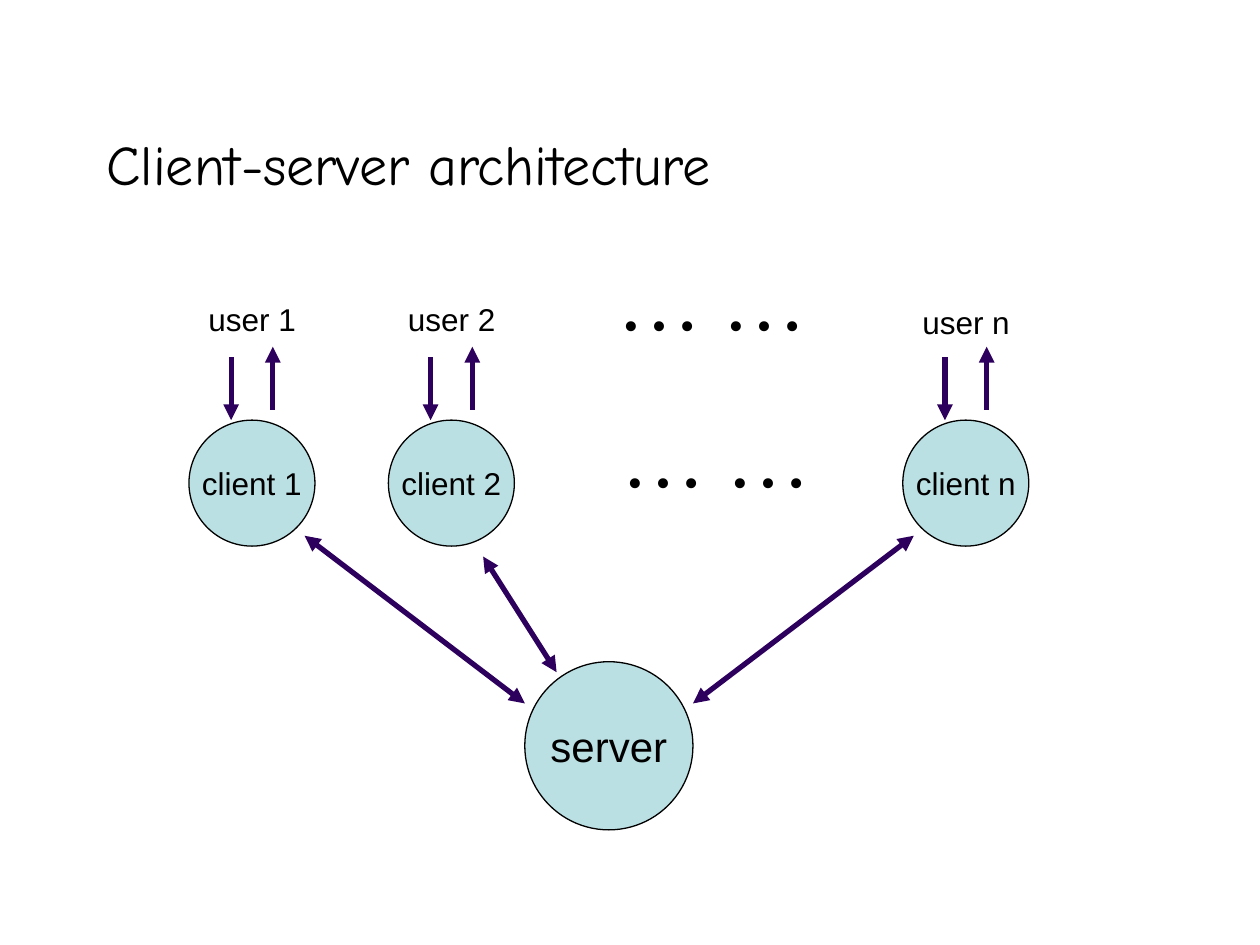
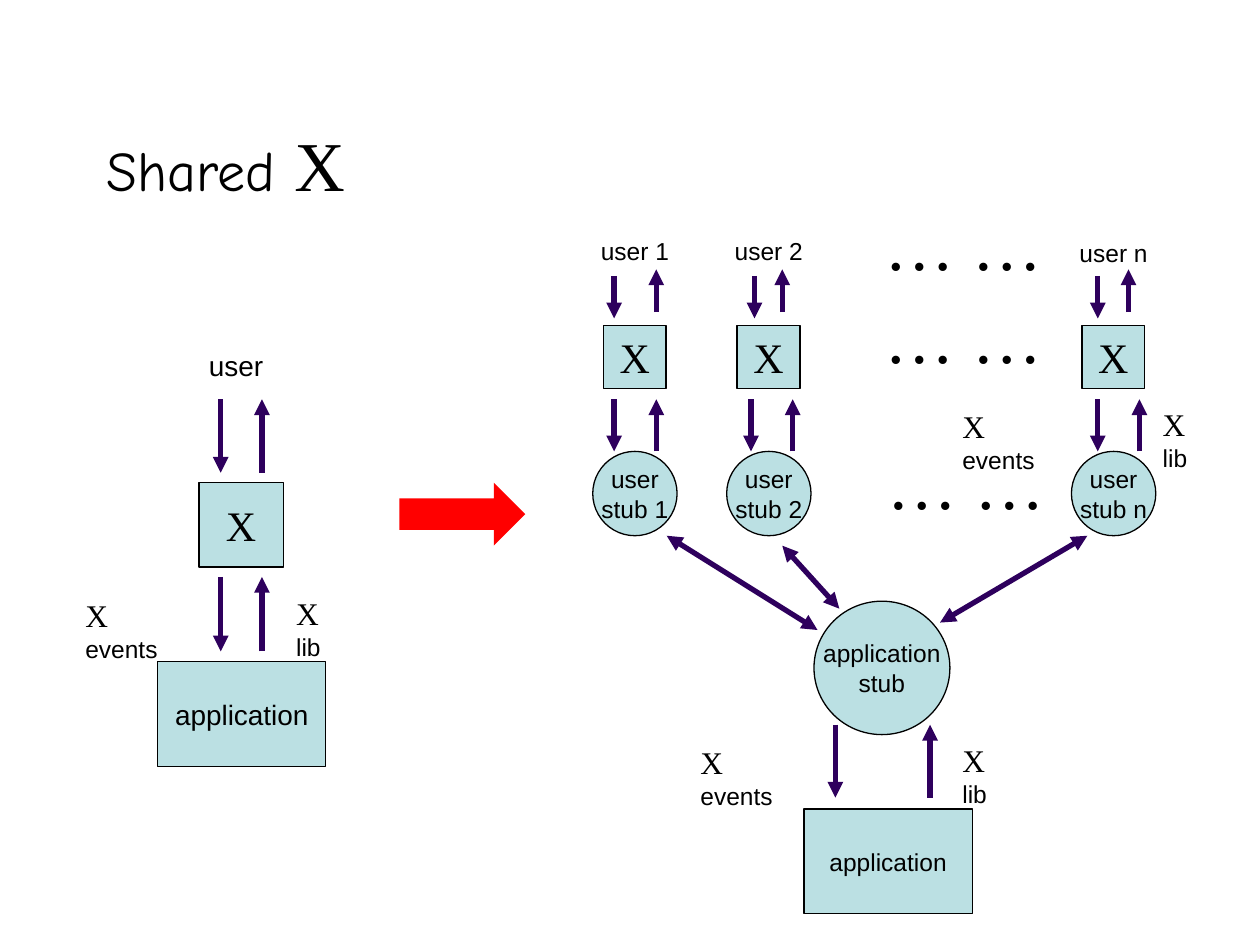
"""Two slides on client-server sharing, drawn as node and arrow diagrams."""
import pptx
import pptx.dml.color
import pptx.enum.shapes
import pptx.enum.text
import pptx.util
import lxml.etree

Cm, Pt = pptx.util.Cm, pptx.util.Pt
KIND = pptx.enum.shapes.MSO_SHAPE
TEXT = pptx.enum.text
INK, NODE, LINK, RED = "000000", "BBE0E3", "2E005D", "FF0000"
SANS, SERIF, COMIC = "Arial", "Times New Roman", "Comic Neue"
DOTS = "… …"

HEADS = [
    [("Client-server architecture", 32, COMIC)],
    [("Shared ", 32, COMIC), ("X", 40, SERIF)],
]

CLIENTS = [
    ("1", 5.08, 5.93),
    ("2", 9.1, 5.93),
    ("n", 19.47, 5.98),
]
SPOKES = [
    (13.97, 14.18, 18.42, 10.8),
    (10.58, 14.18, 6.14, 10.8),
    (11.22, 13.55, 9.74, 11.22),
]
GAPS = [(12.28, 8.89), (12.19, 5.72)]

STUBS = [
    ("1", 12.8, 4.64, (12.38, 13.23), (12.38, 13.23)),
    ("2", 15.5, 4.64, (15.21, 15.77), (15.14, 15.98)),
    ("n", 22.45, 4.68, (22.13, 22.75), (22.13, 22.97)),
]
STUB_SPOKES = [
    (18.95, 12.55, 21.92, 10.8),
    (16.48, 12.7, 13.44, 10.8),
    (16.92, 12.27, 15.77, 11),
]
STUB_GAPS = [(17.63, 9.47), (17.58, 6.53), (17.58, 4.65)]
CALLS = [
    ("events", 19.15, 8.08),
    ("lib", 23.19, 8.05),
    ("events", 13.87, 14.86),
    ("lib", 19.15, 14.81),
    ("events", 1.47, 11.89),
    ("lib", 5.72, 11.86),
]
CALL_WIDTH = {"events": 2.54, "lib": 1.57}
APPS = [(16.21, 16.31, 14), (3.18, 13.34, 16)]
APP_LINKS = [
    (16.84, 18.75, 14.61, 16.08),
    (4.45, 5.28, 11.63, 13.13),
    (4.45, 5.28, 8.05, 9.53),
]


def color(code):
    return pptx.dml.color.RGBColor.from_string(code)


def write(frame, lines, center=True, space=None):
    for row, runs in enumerate(lines):
        para = frame.paragraphs[0] if row == 0 else frame.add_paragraph()
        para.alignment = TEXT.PP_ALIGN.CENTER if center else TEXT.PP_ALIGN.LEFT
        if space:
            para.line_spacing = space
        for words, size, face in runs:
            run = para.add_run()
            run.text = words
            run.font.size = Pt(size)
            run.font.name = face
            run.font.color.rgb = color(INK)


def plain(words, size, face=SANS):
    return [[(line, size, face)] for line in words.split("\n")]


def label(slide, left, top, width, height, lines, center=True, space=None):
    box = slide.shapes.add_textbox(Cm(left), Cm(top), Cm(width), Cm(height))
    box.text_frame.word_wrap = False
    box.text_frame.auto_size = TEXT.MSO_AUTO_SIZE.SHAPE_TO_FIT_TEXT
    write(box.text_frame, lines, center, space)


def shape(slide, kind, left, top, width, height, fill=NODE):
    item = slide.shapes.add_shape(kind, Cm(left), Cm(top), Cm(width), Cm(height))
    item.shadow.inherit = False
    item.fill.solid()
    item.fill.fore_color.rgb = color(fill)
    return item


def node(slide, kind, left, top, width, height, lines):
    item = shape(slide, kind, left, top, width, height)
    item.line.color.rgb = color(INK)
    item.line.width = Pt(0.75)
    item.text_frame.word_wrap = False
    item.text_frame.vertical_anchor = TEXT.MSO_ANCHOR.MIDDLE
    write(item.text_frame, lines)


def arrow(slide, x1, y1, x2, y2, both=False):
    link = slide.shapes.add_connector(
        pptx.enum.shapes.MSO_CONNECTOR.STRAIGHT, Cm(x1), Cm(y1), Cm(x2), Cm(y2))
    link.line.color.rgb = color(LINK)
    link.line.width = Pt(3)
    pen = link.line._get_or_add_ln()
    for end in ("headEnd", "tailEnd") if both else ("tailEnd",):
        tip = lxml.etree.SubElement(pen, pptx.oxml.ns.qn("a:" + end))
        tip.set("type", "triangle")
    lxml.etree.SubElement(link._element.spPr, pptx.oxml.ns.qn("a:effectLst"))


def pair(slide, down, up, top, low, lift=0):
    arrow(slide, down, top, down, low)
    arrow(slide, up, low - lift, up, top - lift)


def spread(slide, spokes, gaps, width, height, size):
    for ends in spokes:
        arrow(slide, *ends, both=True)
    for left, top in gaps:
        label(slide, left, top, width, height, plain(DOTS, size, SERIF), False, 0.5)


def start(deck, runs):
    slide = deck.slides.add_slide(deck.slide_layouts[6])
    box = slide.shapes.add_textbox(Cm(1.9), Cm(1.7), Cm(19.05), Cm(3.18))
    box.text_frame.word_wrap = True
    box.text_frame.vertical_anchor = TEXT.MSO_ANCHOR.MIDDLE
    write(box.text_frame, [runs], False)
    return slide


def server(slide):
    for name, mid, top in CLIENTS:
        node(slide, KIND.OVAL, mid - 1.27, 8.47, 2.54, 2.54, plain("client " + name, 18))
        label(slide, mid - 1.14, top, 2.29, 1.02, plain("user " + name, 18))
        pair(slide, mid - 0.42, mid + 0.42, 7.2, 8.47, 0.21)
    node(slide, KIND.OVAL, 10.58, 13.34, 3.39, 3.39, plain("server", 24))
    spread(slide, SPOKES, GAPS, 4.32, 1.27, 48)


def shared(slide):
    for name, mid, top, upper, lower in STUBS:
        label(slide, mid - 0.94, top, 1.88, 0.84, plain("user " + name, 14))
        pair(slide, *upper, 5.56, 6.42, 0.13)
        node(slide, KIND.RECTANGLE, mid - 0.64, 6.56, 1.27, 1.27, plain("X", 24, SERIF))
        pair(slide, *lower, 8.05, 9.1)
        node(slide, KIND.OVAL, mid - 0.85, 9.1, 1.7, 1.7, plain("user\nstub " + name, 14))
    node(slide, KIND.OVAL, 16.41, 12.12, 2.74, 2.69, plain("application\nstub", 14))
    spread(slide, STUB_SPOKES, STUB_GAPS, 3.68, 1.09, 40)

    label(slide, 3.96, 6.91, 1.6, 0.94, plain("user", 16))
    node(slide, KIND.RECTANGLE, 4.01, 9.73, 1.7, 1.7, plain("X", 24, SERIF))
    for left, top, size in APPS:
        node(slide, KIND.RECTANGLE, left, top, 3.39, 2.11, plain("application", size))
    for ends in APP_LINKS:
        pair(slide, *ends)
    for word, left, top in CALLS:
        runs = [("X", 18, SERIF), (" ", 14, SERIF), (word, 14, SANS)]
        label(slide, left, top, CALL_WIDTH[word], 1.02, [runs], False)
    block = shape(slide, KIND.RIGHT_ARROW, 8.05, 9.73, 2.54, 1.27, RED)
    block.line.fill.background()


def main():
    deck = pptx.Presentation()
    deck.slide_width, deck.slide_height = Cm(25.4), Cm(19.05)
    for runs, draw in zip(HEADS, (server, shared)):
        draw(start(deck, runs))
    deck.save("out.pptx")


if __name__ == "__main__":
    main()
